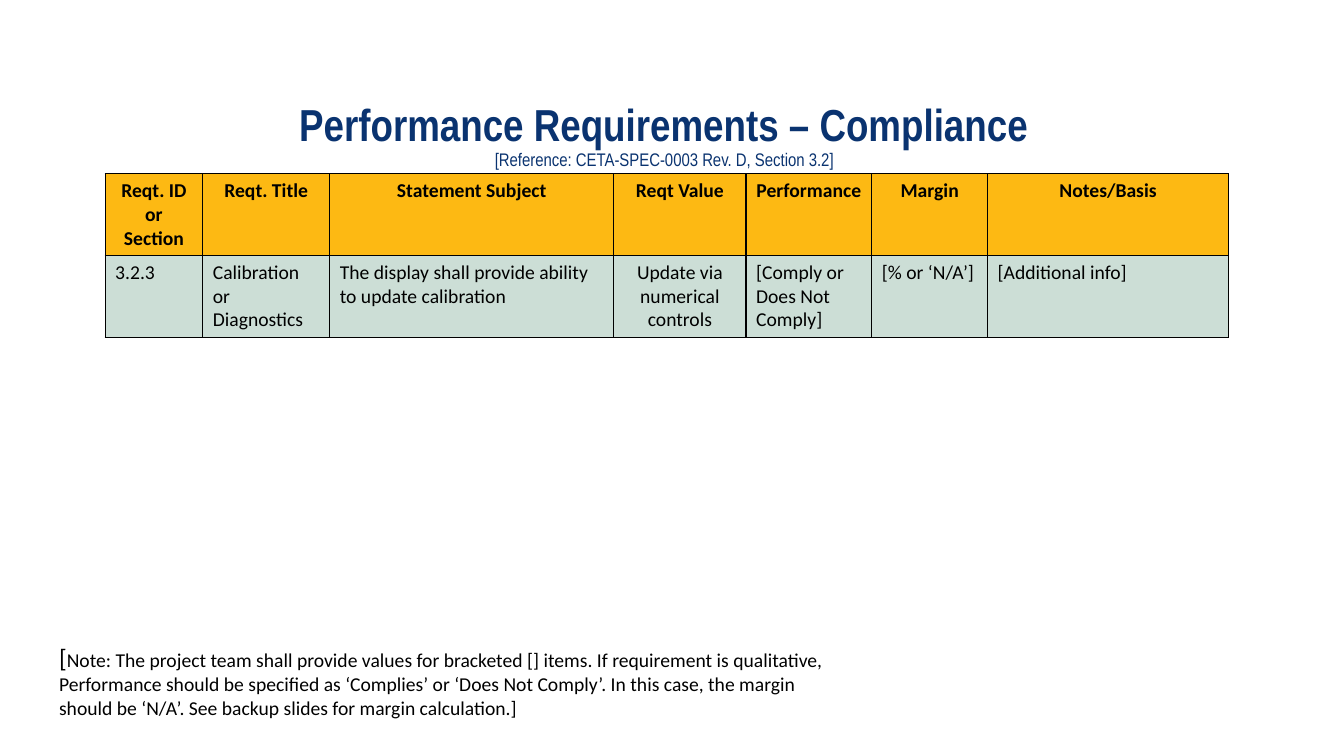
from lxml import etree
from pptx import Presentation
from pptx.dml.color import RGBColor
from pptx.enum import text
from pptx.oxml import ns
from pptx.util import Cm, Pt

COLORS = {"title": "0A3370", "text": "000000", "border": "000000",
          "header": "FDB913", "row": "CCDED6"}
CENTER, LEFT = text.PP_ALIGN.CENTER, text.PP_ALIGN.LEFT
BODY = {"name": "Calibri", "size": Pt(14), "bold": False}

COLUMNS = [  # heading, width in cm, requirement entry, entry alignment
    ("Reqt. ID or Section", 2.46, "3.2.3", LEFT),
    ("Reqt. Title", 3.2, "Calibration or Diagnostics", LEFT),
    ("Statement Subject", 7.16,
     "The display shall provide ability to update calibration", LEFT),
    ("Reqt Value", 3.33, "Update via numerical controls", CENTER),
    ("Performance", 3.17, "[Comply or Does Not Comply]", LEFT),
    ("Margin", 2.92, "[% or ‘N/A’]", LEFT),
    ("Notes/Basis", 6.07, "[Additional info]", LEFT),
]
NOTE = ("Note: The project team shall provide values for bracketed [] items. "
        "If requirement is qualitative, Performance should be specified as "
        "‘Complies’ or ‘Does Not Comply’. In this case, the margin should be "
        "‘N/A’. See backup slides for margin calculation.]")


def add_span(para, words, color, **font):
    span = para.add_run()
    span.text = words
    for name, value in font.items():
        setattr(span.font, name, value)
    span.font.color.rgb = RGBColor.from_string(COLORS[color])


def add_borders(cell):
    properties = cell._tc.get_or_add_tcPr()
    for side in ("a:lnL", "a:lnR", "a:lnT", "a:lnB"):
        line = etree.SubElement(properties, ns.qn(side), w=str(Pt(1)))
        fill = etree.SubElement(line, ns.qn("a:solidFill"))
        etree.SubElement(fill, ns.qn("a:srgbClr"), val=COLORS["border"])


def place_title(page, left, top, width, height):
    title = page.shapes.title
    title.left, title.top, title.width, title.height = left, top, width, height
    frame = title.text_frame
    frame.auto_size = text.MSO_AUTO_SIZE.NONE
    frame.vertical_anchor = text.MSO_ANCHOR.MIDDLE
    para = frame.paragraphs[0]
    para.alignment, para.line_spacing = CENTER, 0.9
    font = {"name": "Arial Narrow"}
    add_span(para, "Performance Requirements – Compliance", "title",
             size=Pt(32), bold=True, **font)
    para.add_line_break()
    add_span(para, "[Reference: CETA-SPEC-0003 Rev. D, Section 3.2]", "title",
             size=Pt(13), bold=False, **font)


def place_requirements(page, left, top, width, height):
    table = page.shapes.add_table(2, len(COLUMNS), left, top, width, height).table
    for index, (heading, column_width, entry, alignment) in enumerate(COLUMNS):
        table.columns[index].width = Cm(column_width)
        cells = [(heading, CENTER, "header", True),
                 (entry, alignment, "row", False)]
        for row, (words, align, fill, bold) in enumerate(cells):
            cell = table.cell(row, index)
            add_borders(cell)
            cell.fill.solid()
            cell.fill.fore_color.rgb = RGBColor.from_string(COLORS[fill])
            para = cell.text_frame.paragraphs[0]
            para.alignment = align
            add_span(para, words, "text", **{**BODY, "bold": bold})


def place_note(page, left, top, width, height):
    frame = page.shapes.add_textbox(left, top, width, height).text_frame
    frame.word_wrap = True
    frame.auto_size = text.MSO_AUTO_SIZE.SHAPE_TO_FIT_TEXT
    para = frame.paragraphs[0]
    add_span(para, "[", "text", **{**BODY, "size": Pt(18)})
    add_span(para, NOTE, "text", **BODY)


def main():
    deck = Presentation()
    deck.slide_width, deck.slide_height = Cm(33.87), Cm(19.05)
    page = deck.slides.add_slide(deck.slide_layouts[5])
    place_title(page, Cm(2.13), Cm(2.44), Cm(29.21), Cm(2.01))
    place_requirements(page, Cm(2.65), Cm(4.38), Cm(28.31), Cm(4.12))
    place_note(page, Cm(1.24), Cm(16.05), Cm(20.29), Cm(2.24))
    deck.save("out.pptx")


if __name__ == "__main__":
    main()
